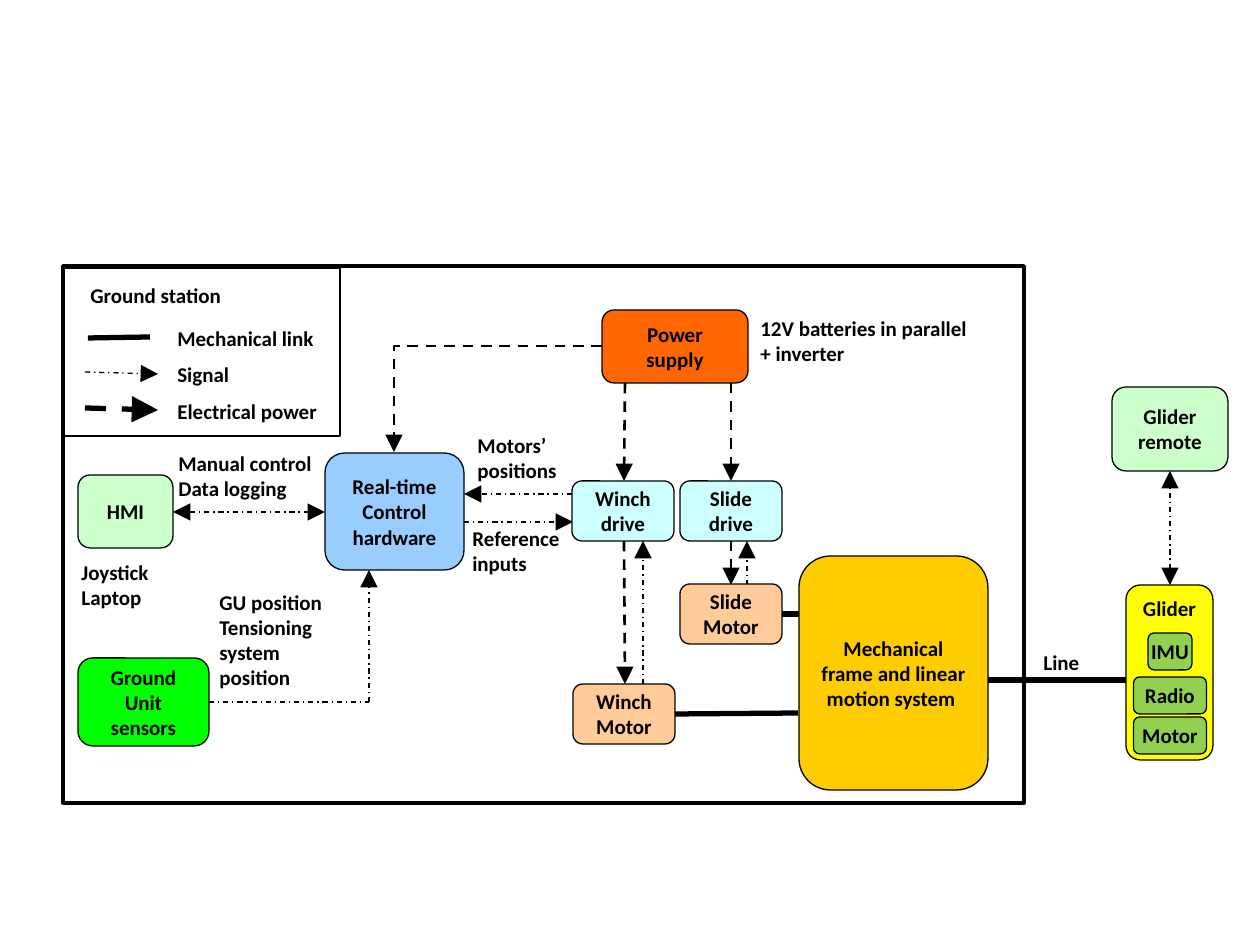
from lxml.etree import SubElement
from pptx import Presentation
from pptx.dml.color import RGBColor
from pptx.enum.dml import MSO_LINE
from pptx.enum.shapes import MSO_CONNECTOR, MSO_SHAPE
from pptx.enum.text import MSO_ANCHOR, MSO_AUTO_SIZE, PP_ALIGN
from pptx.oxml.ns import qn
from pptx.util import Emu, Pt

SCALE = 914400 / 126

BLACK = RGBColor(0, 0, 0)
YELLOW = RGBColor(0xFF, 0xFF, 0)
ORANGE = RGBColor(0xFF, 0x66, 0)
GOLD = RGBColor(0xFF, 0xCC, 0)
PEACH = RGBColor(0xFF, 0xCC, 0x99)
BLUE = RGBColor(0x99, 0xCC, 0xFF)
CYAN = RGBColor(0xCC, 0xFF, 0xFF)
MINT = RGBColor(0xCC, 0xFF, 0xCC)
LIME = RGBColor(0, 0xFF, 0)
LEAF = RGBColor(0x92, 0xD0, 0x50)

FONT = {"name": "Calibri", "size": Pt(12), "bold": True}

# Link kinds: width in points, dash style
MECH = (3, None)
SIGNAL = (0.75, MSO_LINE.DASH_DOT)
POWER = (1.5, MSO_LINE.DASH)
BOLD = (3, MSO_LINE.DASH)


def px(*vals):
    return [Emu(round(v * SCALE)) for v in vals]


def apply(obj, vals):
    for key, val in vals.items():
        setattr(obj, key, val)


def write(frame, text, align):
    for num, line in enumerate(text.split("\n")):
        para = frame.add_paragraph() if num else frame.paragraphs[0]
        para.alignment = align
        run = para.add_run()
        run.text = line
        apply(run.font, FONT)
        run.font.color.rgb = BLACK


def block(slide, area, kind, fill=None, width=0.75):
    shape = slide.shapes.add_shape(kind, *px(*area))
    shape.shadow.inherit = False
    if fill is None:
        shape.fill.background()
    else:
        shape.fill.solid()
        shape.fill.fore_color.rgb = fill
    shape.line.color.rgb = BLACK
    shape.line.width = Pt(width)
    return shape


def node(slide, text, area, fill, wrap=True, anchor=MSO_ANCHOR.MIDDLE):
    shape = block(slide, area, MSO_SHAPE.ROUNDED_RECTANGLE, fill)
    apply(shape.text_frame, {"word_wrap": wrap, "vertical_anchor": anchor})
    write(shape.text_frame, text, PP_ALIGN.CENTER)


def label(slide, text, area, wrap=False):
    frame = slide.shapes.add_textbox(*px(*area)).text_frame
    apply(frame, {"word_wrap": wrap,
                  "auto_size": MSO_AUTO_SIZE.SHAPE_TO_FIT_TEXT})
    write(frame, text, PP_ALIGN.LEFT)


def link(slide, ends, style, heads="", bent=False):
    """Draw a line; heads names its arrow ends: "tail" is the far one."""
    kind = MSO_CONNECTOR.ELBOW if bent else MSO_CONNECTOR.STRAIGHT
    line = slide.shapes.add_connector(kind, *px(*ends))
    props = line._element.spPr
    if bent:
        props.find(qn("a:prstGeom")).set("prst", "bentConnector2")
    width, dash = style
    line.line.color.rgb = BLACK
    apply(line.line, {"width": Pt(width), "dash_style": dash})
    for end in heads.split():
        tip = SubElement(props.find(qn("a:ln")), qn(f"a:{end}End"))
        for key, val in {"type": "triangle", "w": "lg", "len": "lg"}.items():
            tip.set(key, val)
    SubElement(props, qn("a:effectLst"))


def legend(slide):
    block(slide, (63, 268, 277, 168), MSO_SHAPE.RECTANGLE)
    label(slide, "Ground station", (78, 276, 160, 38))
    rows = [
        ("Mechanical link", 319, (88, 338, 150, 337), MECH, ""),
        ("Signal", 355, (85, 372, 158, 374), SIGNAL, "tail"),
        ("Electrical power", 392, (85, 408, 158, 410), BOLD, "tail"),
    ]
    for text, top, ends, style, heads in rows:
        link(slide, ends, style, heads)
        label(slide, text, (165, top, 188, 38))


def links(slide):
    # Mechanical
    for ends in [(1148, 680, 974, 680), (781, 614, 800, 614),
                 (675, 714, 798, 713)]:
        link(slide, ends, MECH)
    # Electrical power
    for ends in [(625, 383, 624, 481), (731, 383, 731, 481),
                 (624, 541, 625, 684), (731, 541, 731, 585)]:
        link(slide, ends, POWER, "tail")
    link(slide, (602, 346, 394, 452), POWER, "tail", bent=True)
    # Signals
    for ends in [(643, 684, 643, 541), (747, 585, 747, 541),
                 (572, 494, 464, 494), (464, 522, 573, 522),
                 (369, 702, 369, 570)]:
        link(slide, ends, SIGNAL, "tail")
    link(slide, (209, 702, 369, 702), SIGNAL)
    for ends in [(325, 512, 173, 512), (1170, 585, 1170, 471)]:
        link(slide, ends, SIGNAL, "head tail")


def nodes(slide):
    node(slide, "Power supply", (602, 310, 146, 73), ORANGE)
    node(slide, "Real-time Control hardware", (325, 453, 139, 117), BLUE)
    node(slide, "HMI", (78, 475, 95, 73), MINT)
    node(slide, "Ground Unit sensors", (78, 658, 131, 88), LIME)
    node(slide, "Mechanical frame and linear motion system ",
         (799, 556, 189, 234), GOLD)
    # Drives and motors
    for text, left, top, fill in [
            ("Winch drive", 572, 481, CYAN), ("Slide drive", 680, 481, CYAN),
            ("Winch Motor", 573, 684, PEACH),
            ("Slide Motor", 680, 584, PEACH)]:
        node(slide, text, (left, top, 102, 60), fill)
    # Glider and its parts
    node(slide, "Glider remote", (1112, 387, 116, 84), MINT)
    node(slide, "Glider", (1126, 585, 87, 175), YELLOW, False, MSO_ANCHOR.TOP)
    for text, top, wide in [("IMU", 633, 44), ("Radio", 677, 73),
                            ("Motor", 717, 73)]:
        node(slide, text, (1170 - wide / 2, top, wide, 37), LEAF, False)


def labels(slide):
    for text, area, wrap in [
            ("Line", (1031, 643, 183, 38), True),
            ("Reference\ninputs", (460, 519, 113, 63), False),
            ("Manual control\nData logging", (166, 444, 176, 64), False),
            ("GU position\nTensioning system position",
             (207, 583, 160, 118), True),
            ("Joystick\nLaptop", (69, 553, 110, 63), False),
            ("12V batteries in parallel + inverter",
             (748, 309, 241, 63), True),
            ("Motors’ positions", (465, 426, 120, 63), True)]:
        label(slide, text, area, wrap)


def main():
    deck = Presentation()
    wide, high = px(1260, 945)
    apply(deck, {"slide_width": wide, "slide_height": high})
    slide = deck.slides.add_slide(deck.slide_layouts[6])
    block(slide, (63, 266, 961, 537), MSO_SHAPE.RECTANGLE, width=2)
    legend(slide)
    links(slide)
    nodes(slide)
    labels(slide)
    deck.save("out.pptx")


main()
